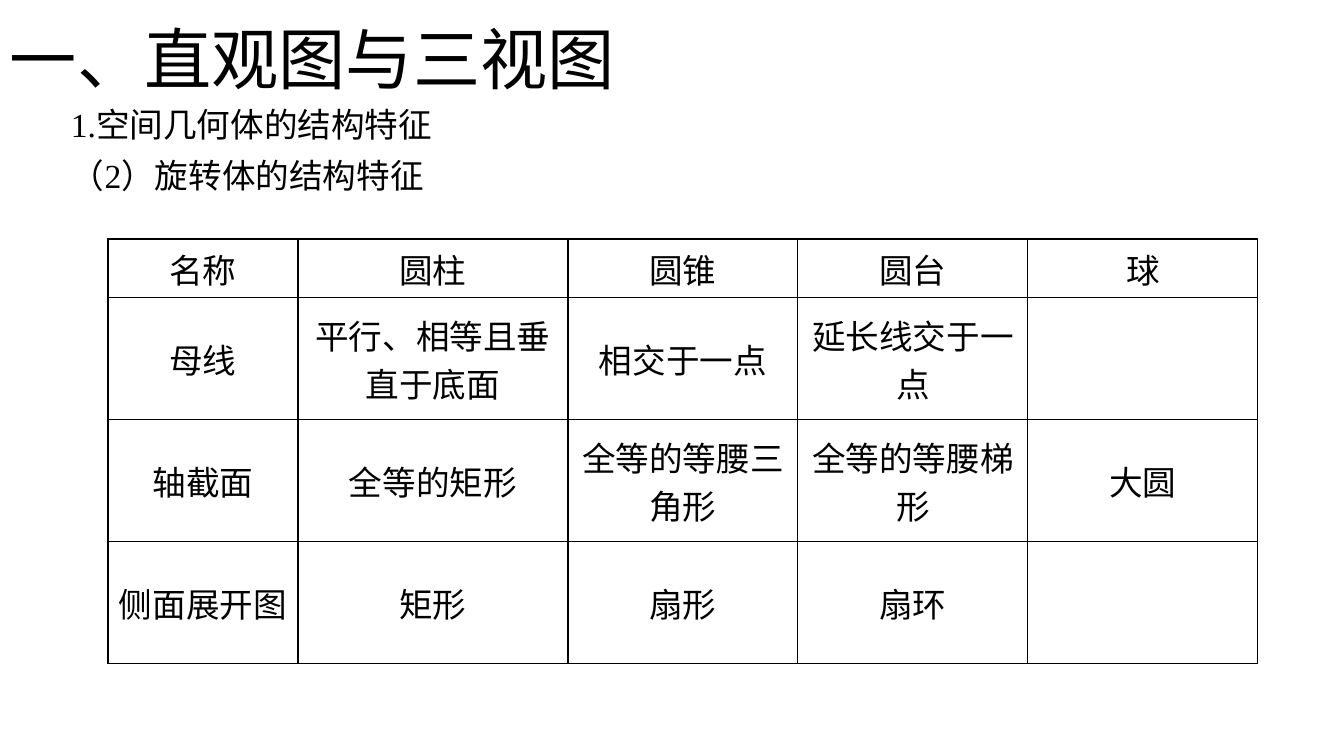
from lxml.etree import SubElement
from pptx import Presentation
from pptx.dml.color import RGBColor
from pptx.enum.text import MSO_ANCHOR as Anchor, PP_ALIGN as Align
from pptx.oxml.ns import qn
from pptx.util import Pt

PX = 914400 / 100.8
SLIDE_SIZE = (1344, 756)
BLACK = "000000"

# wording, left, top, width, height, font, points, anchor, space before
HEADINGS = [
    ("一、直观图与三视图", 0, 21, 1026, 83, "Calibri", 48, Anchor.BOTTOM, 0),
    ("1.空间几何体的结构特征", 61, 104, 1131, 62, "Times New Roman", 24, Anchor.TOP, 10),
    ("（2）旋转体的结构特征", 61, 155, 1131, 62, "Times New Roman", 24, Anchor.TOP, 10),
]

SOLIDS = [
    ("名称", "圆柱", "圆锥", "圆台", "球"),
    ("母线", "平行、相等且垂直于底面", "相交于一点", "延长线交于一点", ""),
    ("轴截面", "全等的矩形", "全等的等腰三角形", "全等的等腰梯形", "大圆"),
    ("侧面展开图", "矩形", "扇形", "扇环", ""),
]
TABLE_LEFT, TABLE_TOP = 108, 239
COLUMN_WIDTHS = [190, 270, 230, 230, 230]
ROW_HEIGHTS = [56, 122, 122, 122]


def px(length):
    return round(length * PX)


def colour(hex_text):
    return RGBColor.from_string(hex_text)


def add_run(paragraph, wording, font, points):
    run = paragraph.add_run()
    run.text = wording
    run.font.name = font
    run.font.size = Pt(points)
    run.font.color.rgb = colour(BLACK)


def add_heading(slide, wording, left, top, width, height, font, points, anchor, before):
    frame = slide.shapes.add_textbox(px(left), px(top), px(width), px(height)).text_frame
    frame.word_wrap = True
    frame.vertical_anchor = anchor
    paragraph = frame.paragraphs[0]
    paragraph.line_spacing = 0.9
    paragraph.space_before = Pt(before)
    add_run(paragraph, wording, font, points)


def add_borders(cell):
    """Draw a 1 pt line on all four sides; call before setting the fill."""
    properties = cell._tc.get_or_add_tcPr()
    for side in ("lnL", "lnR", "lnT", "lnB"):
        line = SubElement(properties, qn(f"a:{side}"), w=str(Pt(1)))
        SubElement(SubElement(line, qn("a:solidFill")), qn("a:srgbClr"), val=BLACK)


def add_solids_table(slide):
    table = slide.shapes.add_table(
        len(SOLIDS), len(COLUMN_WIDTHS), px(TABLE_LEFT), px(TABLE_TOP),
        px(sum(COLUMN_WIDTHS)), px(sum(ROW_HEIGHTS))).table
    table.first_row = table.horz_banding = False
    for column, width in zip(table.columns, COLUMN_WIDTHS):
        column.width = px(width)
    for row, height, wordings in zip(table.rows, ROW_HEIGHTS, SOLIDS):
        row.height = px(height)
        for cell, wording in zip(row.cells, wordings):
            add_borders(cell)
            cell.fill.background()
            cell.vertical_anchor = Anchor.MIDDLE
            if wording:
                paragraph = cell.text_frame.paragraphs[0]
                paragraph.alignment = Align.CENTER
                add_run(paragraph, wording, "Calibri", 24)


def main():
    deck = Presentation()
    deck.slide_width, deck.slide_height = map(px, SLIDE_SIZE)
    slide = deck.slides.add_slide(deck.slide_layouts[6])
    add_solids_table(slide)
    for heading in HEADINGS:
        add_heading(slide, *heading)
    deck.save("out.pptx")


if __name__ == "__main__":
    main()
